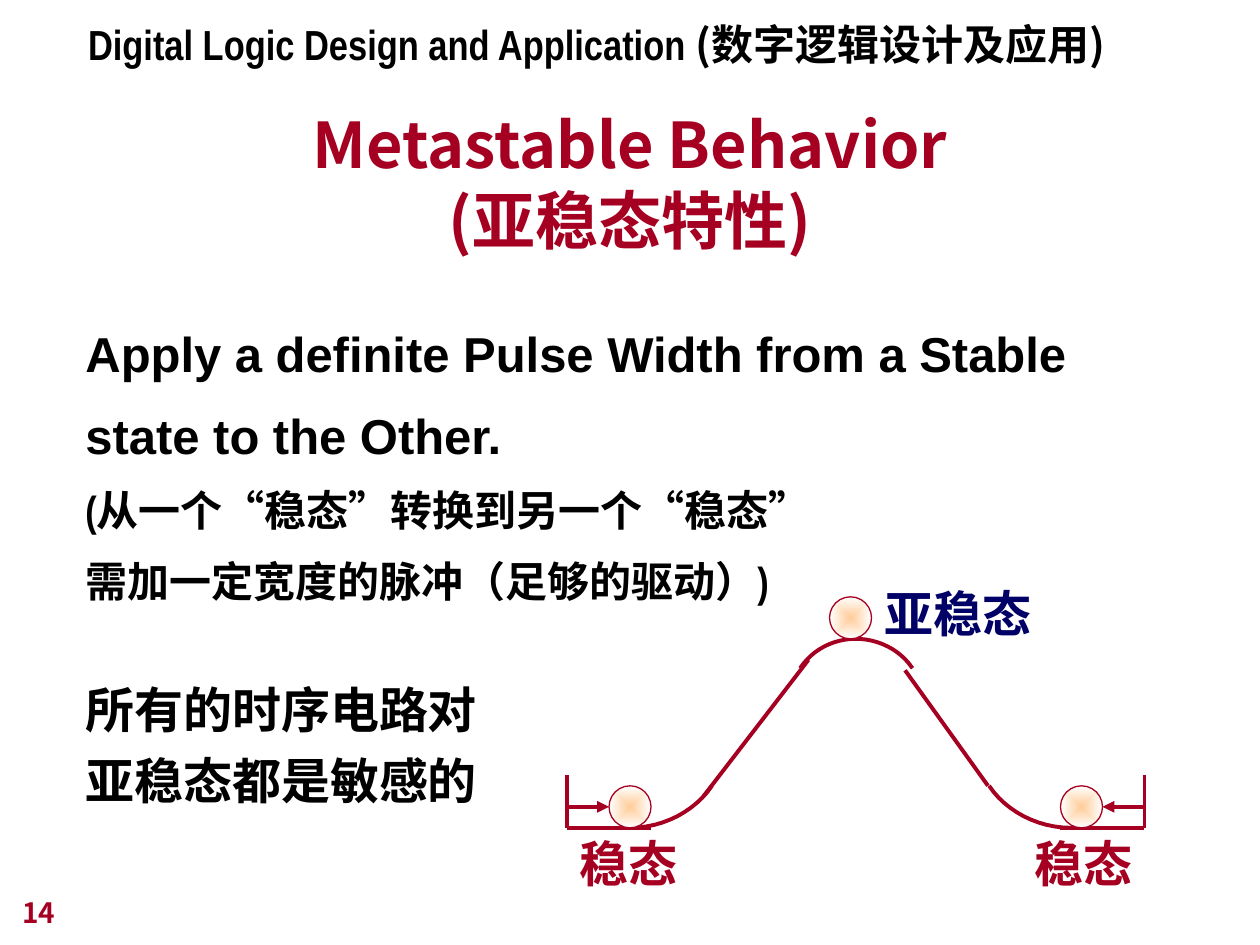
from lxml import etree
from pptx import Presentation, util as u
from pptx.dml.color import RGBColor
from pptx.enum import shapes, text
from pptx.oxml.ns import qn

THEME = {
    "black": RGBColor.from_string("000000"),
    "red": RGBColor.from_string("A50021"),
    "navy": RGBColor.from_string("000066"),
    "peach": RGBColor.from_string("FFCC99"),
    "white": RGBColor.from_string("FFFFFF"),
    "narrow": "Arial Narrow", "sans": "Arial", "cjk": "Noto Sans CJK JP",
    "title": 36, "large": 28, "medium": 24, "small": 16,
    "curve": 2.25, "outline": 0.75,
}
UNIT = u.Inches(1) / 12
LEFT, GROUND = u.Inches(4.5), u.Inches(6.57)

deck = Presentation()
deck.slide_width, deck.slide_height = u.Inches(10), u.Inches(7.5)
slide = deck.slides.add_slide(deck.slide_layouts[5])


def add_run(paragraph, words, size, font, color):
    run = paragraph.add_run()
    run.text = words
    run.font.size, run.font.name, run.font.bold = u.Pt(THEME[size]), THEME[font], True
    run.font.color.rgb = THEME[color]
    if font == "cjk":
        etree.SubElement(run.font._element, qn("a:ea"), typeface=THEME[font])


def spot(column, row):
    return round(LEFT + column * UNIT), round(GROUND + row * UNIT)


title = slide.shapes.title
title.left, title.top, title.width, title.height = map(u.Inches, (0.75, 0.73, 8.5, 1.36))
title.text_frame.auto_size = text.MSO_AUTO_SIZE.NONE
title.text_frame.vertical_anchor = text.MSO_ANCHOR.BOTTOM
heading = title.text_frame.paragraphs[0]
heading.alignment = text.PP_ALIGN.CENTER
add_run(heading, "Metastable Behavior", "title", "cjk", "red")
heading.add_line_break()
add_run(heading, "(亚稳态特性)", "title", "cjk", "red")

crest = [(22.2, -15.2), (23.4, -17), (25.4, -18), (27.5, -18),
         (29.6, -18), (31.7, -17), (32.9, -15.2)]
left_foot = [(6, 0), (9.2, 0), (12.2, -1.6), (13.8, -4)]
right_foot = [(54 - column, row) for column, row in left_foot]
STEPS = 12
for controls in (crest, left_foot, right_foot):
    outline = [controls[0]]
    for first in range(0, len(controls) - 1, 3):
        a, b, c, d = controls[first:first + 4]
        for step in range(1, STEPS + 1):
            t = step / STEPS
            s = 1 - t
            outline.append(tuple(
                s**3 * a[k] + 3 * s * s * t * b[k] + 3 * s * t * t * c[k] + t**3 * d[k]
                for k in (0, 1)))
    points = [spot(*point) for point in outline]
    builder = slide.shapes.build_freeform(*points[0])
    builder.add_line_segments(points[1:], close=False)
    slope = builder.convert_to_shape()
    slope.shadow.inherit = False
    slope.fill.background()
    slope.line.color.rgb, slope.line.width = THEME["red"], u.Pt(THEME["curve"])

for start, end, is_push in [
    ((0, 0), (8, 0), False), ((47, 0), (55, 0), False),
    ((23, -16), (13, -3), False), ((32.2, -15), (40.1, -4), False),
    ((0, -5), (0, 0), False), ((55, -5), (55, 0), False),
    ((0, -2), (4, -2), True), ((55, -2), (51, -2), True),
]:
    stroke = slide.shapes.add_connector(
        shapes.MSO_CONNECTOR.STRAIGHT, *spot(*start), *spot(*end))
    stroke.line.color.rgb, stroke.line.width = THEME["red"], u.Pt(THEME["curve"])
    if is_push:
        etree.SubElement(stroke.line._get_or_add_ln(), qn("a:tailEnd"), type="triangle")
    etree.SubElement(stroke._element.spPr, qn("a:effectLst"))

for column, row in [(47, -4), (25, -22), (4, -4)]:
    ball = slide.shapes.add_shape(
        shapes.MSO_SHAPE.OVAL, *spot(column, row), round(4 * UNIT), round(4 * UNIT))
    ball.shadow.inherit = False
    ball.line.color.rgb, ball.line.width = THEME["red"], u.Pt(THEME["outline"])
    ball.fill.gradient()
    for stop, color, position in zip(ball.fill.gradient_stops, ("peach", "white"), (0, 1)):
        stop.color.rgb, stop.position = THEME[color], position
    gradient = ball._element.spPr.find(qn("a:gradFill"))
    gradient.remove(gradient.find(qn("a:lin")))
    glow = etree.SubElement(gradient, qn("a:path"), {"path": "rect"})
    etree.SubElement(glow, qn("a:fillToRect"), dict.fromkeys("ltrb", "50000"))

for area, spacing, anchor, paragraphs in [
    ((0.58, 5.25, 3.58, 1.22), 1.2, "TOP",
     [[("所有的时序电路对亚稳态都是敏感的", "large", "narrow", "black")]]),
    ((4.5, 6.57, 1.05, 0.57), None, "TOP", [[("稳态", "large", "narrow", "red")]]),
    ((8.11, 6.57, 1.05, 0.57), None, "TOP", [[("稳态", "large", "narrow", "red")]]),
    ((6.92, 4.58, 1.45, 0.57), None, "TOP", [[("亚稳态", "large", "narrow", "navy")]]),
    ((0.58, 2.33, 8.9, 2.53), 1.4, "TOP",
     [[("Apply a definite Pulse Width from a Stable state to the Other.",
        "large", "sans", "black")],
      [("(从一个“稳态”转换到另一个“稳态”", "medium", "narrow", "black")],
      [("需加一定宽度的脉冲（足够的驱动）)", "medium", "narrow", "black")]]),
    ((0.6, 0.1, 8.41, 0.5), None, "TOP",
     [[("Digital Logic Design and Application ", "medium", "narrow", "black"),
       ("(数字逻辑设计及应用)", "medium", "cjk", "black")]]),
    ((0.08, 6.92, 2.08, 0.5), None, "BOTTOM", [[("14", "small", "cjk", "red")]]),
]:
    frame = slide.shapes.add_textbox(*map(u.Inches, area)).text_frame
    frame.word_wrap = True
    frame.vertical_anchor = text.MSO_ANCHOR[anchor]
    for index, runs in enumerate(paragraphs):
        line = frame.add_paragraph() if index else frame.paragraphs[0]
        line.line_spacing = spacing
        for run in runs:
            add_run(line, *run)

deck.save("out.pptx")
